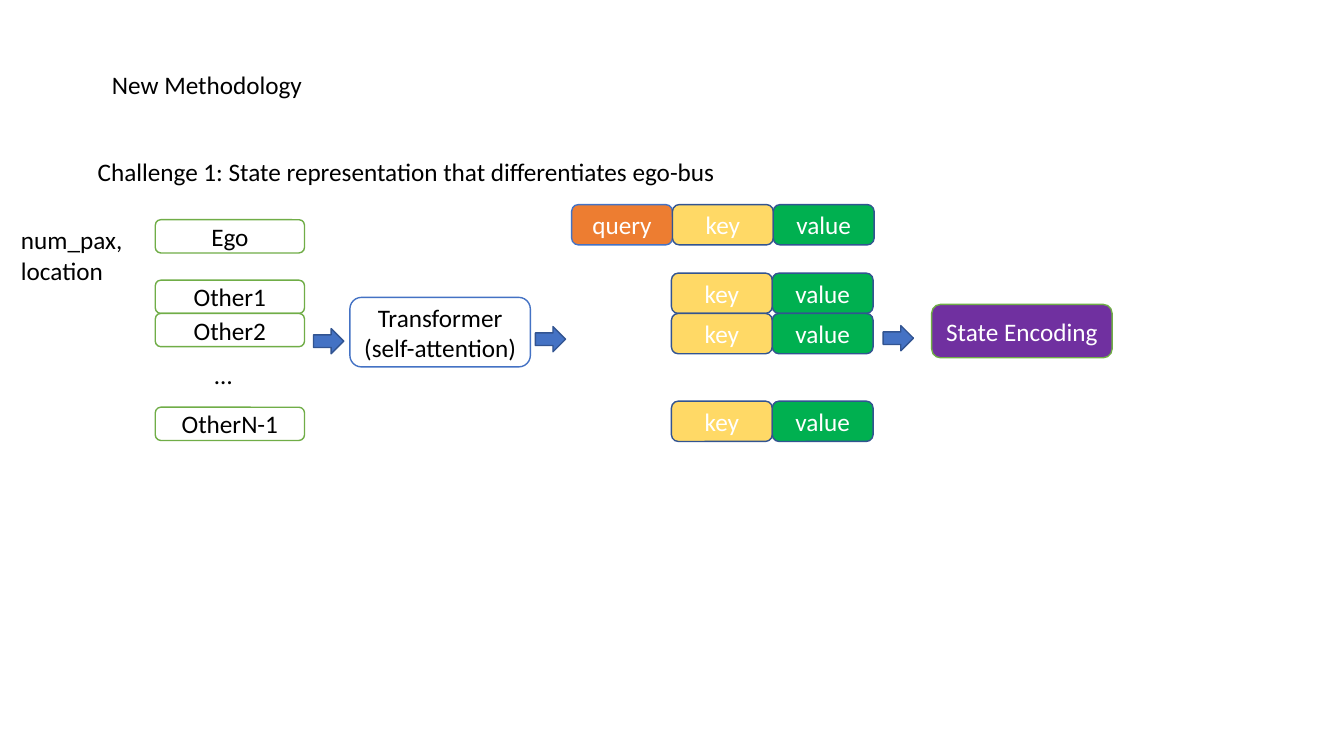
from pptx import Presentation
from pptx.dml.color import RGBColor
from pptx.enum.shapes import MSO_SHAPE
from pptx.enum.text import MSO_ANCHOR, MSO_AUTO_SIZE, PP_ALIGN
from pptx.util import Inches, Pt

BLACK = RGBColor(0x00, 0x00, 0x00)
WHITE = RGBColor(0xFF, 0xFF, 0xFF)
BLUE = RGBColor(0x44, 0x72, 0xC4)
NAVY = RGBColor(0x32, 0x54, 0x91)
LIME = RGBColor(0x70, 0xAD, 0x47)
GREEN = RGBColor(0x00, 0xB0, 0x50)
YELLOW = RGBColor(0xFF, 0xD9, 0x66)
ORANGE = RGBColor(0xED, 0x7D, 0x31)
PURPLE = RGBColor(0x70, 0x30, 0xA0)

FONT = {"name": "Calibri", "size": Pt(18)}
BUS_LEFT, BUS_W, BUS_H = 1.54, 1.48, 0.33
CELL_W, CELL_H = 1, 0.4


def write(shape, text, color, align, anchor):
    tf = shape.text_frame
    tf.text = text
    frame_format = {"word_wrap": True, "auto_size": MSO_AUTO_SIZE.NONE,
                    "vertical_anchor": anchor}
    for name, value in frame_format.items():
        setattr(tf, name, value)
    for p in tf.paragraphs:
        p.alignment = align
        for r in p.runs:
            for name, value in FONT.items():
                setattr(r.font, name, value)
            r.font.color.rgb = color


def add_title(s, text, left, top, width, height):
    title = s.shapes.title
    place = {"left": left, "top": top, "width": width, "height": height}
    for name, value in place.items():
        setattr(title, name, Inches(value))
    write(title, text, BLACK, PP_ALIGN.LEFT, MSO_ANCHOR.TOP)


def add_label(s, text, left, top, width, height=0.4):
    box = s.shapes.add_textbox(*map(Inches, (left, top, width, height)))
    write(box, text, BLACK, PP_ALIGN.LEFT, MSO_ANCHOR.TOP)


def add_filled(s, kind, left, top, width, height, fill, line):
    sp = s.shapes.add_shape(kind, *map(Inches, (left, top, width, height)))
    sp.shadow.inherit = False
    sp.fill.solid()
    sp.fill.fore_color.rgb = fill
    sp.line.color.rgb = line
    sp.line.width = Pt(1)
    return sp


def add_box(s, text, left, top, width, height, fill, line, color=WHITE):
    sp = add_filled(s, MSO_SHAPE.ROUNDED_RECTANGLE, left, top, width, height,
                    fill, line)
    write(sp, text, color, PP_ALIGN.CENTER, MSO_ANCHOR.MIDDLE)


def add_arrow(s, left, top):
    add_filled(s, MSO_SHAPE.RIGHT_ARROW, left, top, 0.3, 0.25, BLUE, NAVY)


def add_key_value(s, left, top):
    for i, (text, fill) in enumerate((("key", YELLOW), ("value", GREEN))):
        add_box(s, text, left + i * CELL_W, top, CELL_W, CELL_H, fill, NAVY)


def main():
    prs = Presentation()
    prs.slide_width, prs.slide_height = Inches(13.33), Inches(7.5)
    s = prs.slides.add_slide(prs.slide_layouts.get_by_name("Title Only"))

    add_title(s, "New Methodology", 1.01, 0.64, 3.09, 0.4)
    add_label(s, "Challenge 1: State representation that differentiates ego-bus",
              0.87, 1.5, 6.44)
    add_label(s, "num_pax,\nlocation", 0.11, 2.18, 1.24, 0.71)

    buses = {"Ego": 2.18, "Other1": 2.78, "Other2": 2.78 + BUS_H,
             "OtherN-1": 4.04}
    for name, top in buses.items():
        add_box(s, name, BUS_LEFT, top, BUS_W, BUS_H, WHITE, LIME, BLACK)
    add_label(s, "…", 2.03, 3.52, 1.26)

    add_box(s, "Transformer\n(self-attention)", 3.47, 2.95, 1.79, 0.69,
            WHITE, BLUE, BLACK)

    add_box(s, "query", 5.67, 2.03, CELL_W, CELL_H, ORANGE, BLUE)
    add_key_value(s, 6.67, 2.03)
    for top in (2.71, 2.71 + CELL_H, 3.98):
        add_key_value(s, 6.66, top)

    for left, top in ((3.11, 3.26), (5.31, 3.24), (8.76, 3.23)):
        add_arrow(s, left, top)
    add_box(s, "State Encoding", 9.24, 3.02, 1.79, 0.53, PURPLE, LIME)

    prs.save("out.pptx")


if __name__ == "__main__":
    main()
